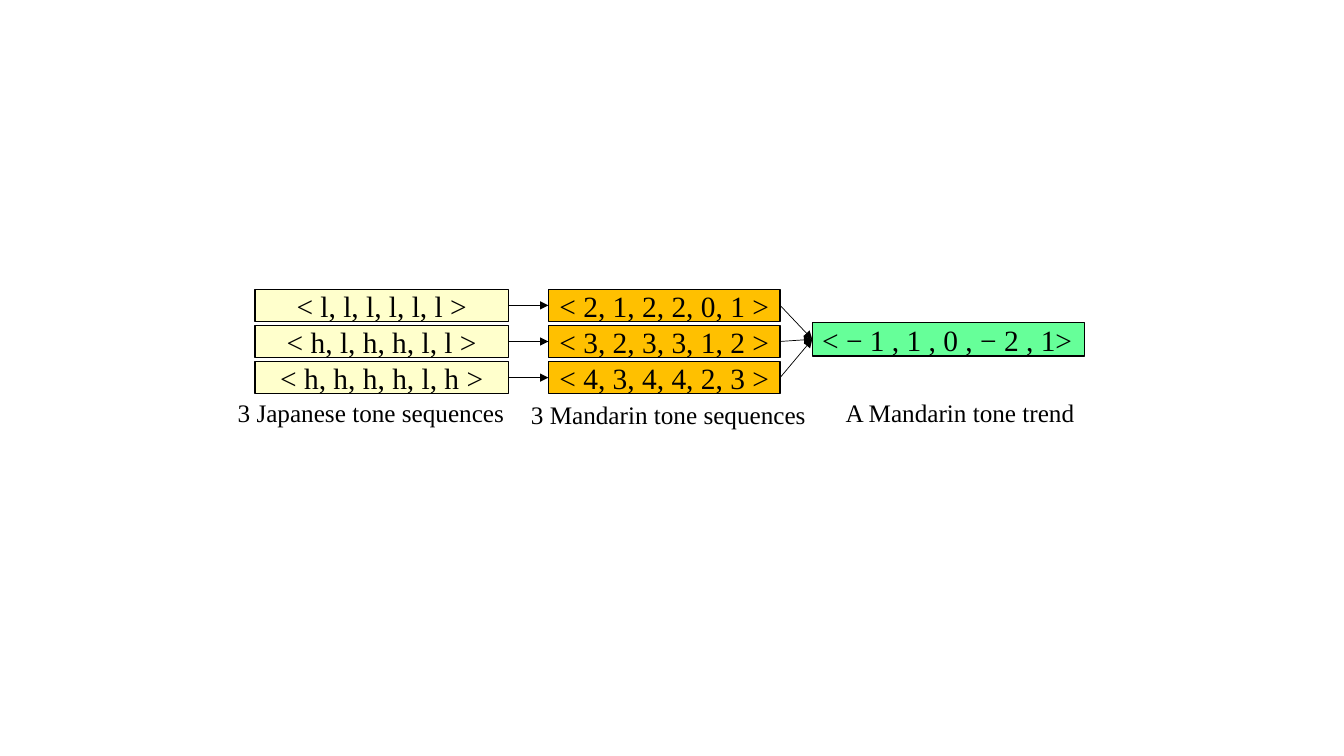
import dataclasses

import lxml.etree
import pptx
import pptx.dml.color
import pptx.enum.shapes
import pptx.enum.text
import pptx.oxml.ns
import pptx.util

Cm = pptx.util.Cm
Pt = pptx.util.Pt
Align = pptx.enum.text.PP_ALIGN


@dataclasses.dataclass(frozen=True)
class Theme:
    font: str = "Times New Roman"
    ink: str = "000000"
    cream: str = "FFFFCC"
    amber: str = "FFC000"
    green: str = "66FF99"
    body: float = 21
    label: float = 18
    edge: float = 1
    thin: float = 0.5


THEME = Theme()

# Rows shared by the Japanese and Mandarin columns, in cm
TOP, STEP, HIGH = 7.29, 0.91, 0.81
RIGHT, LEFT = 3, 1  # connection sites of a rectangle

TONES = ["< l, l, l, l, l, l >", "< h, l, h, h, l, l >", "< h, h, h, h, l, h >"]
CODES = ["< 2, 1, 2, 2, 0, 1 >", "< 3, 2, 3, 3, 1, 2 >", "< 4, 3, 4, 4, 2, 3 >"]
LABELS = [
    ("3 Japanese tone sequences", 5.74, 9.88, 7.29),
    ("3 Mandarin tone sequences", 13.13, 9.93, 7.7),
    ("A Mandarin tone trend", 21.06, 9.88, 6.38),
]


def tint(code):
    return pptx.dml.color.RGBColor.from_string(code)


def write(frame, text, size, align):
    frame.text = text
    para = frame.paragraphs[0]
    para.alignment = align
    font = para.runs[0].font
    font.name, font.size = THEME.font, Pt(size)
    font.color.rgb = tint(THEME.ink)


def add_box(slide, text, x, y, wide, high, fill, align=Align.CENTER):
    kind = pptx.enum.shapes.MSO_SHAPE.RECTANGLE
    box = slide.shapes.add_shape(kind, Cm(x), Cm(y), Cm(wide), Cm(high))
    box.shadow.inherit = False
    box.fill.solid()
    box.fill.fore_color.rgb = tint(fill)
    box.line.color.rgb = tint(THEME.ink)
    box.line.width = Pt(THEME.edge)
    box.text_frame.vertical_anchor = pptx.enum.text.MSO_ANCHOR.MIDDLE
    write(box.text_frame, text, THEME.body, align)
    return box


def add_stack(slide, texts, x, wide, fill):
    return [add_box(slide, text, x, TOP + row * STEP, wide, HIGH, fill)
            for row, text in enumerate(texts)]


def add_arrow(slide, start, end):
    kind = pptx.enum.shapes.MSO_CONNECTOR.STRAIGHT
    arrow = slide.shapes.add_connector(kind, 0, 0, 0, 0)
    arrow.begin_connect(start, RIGHT)
    arrow.end_connect(end, LEFT)
    arrow.line.color.rgb = tint(THEME.ink)
    arrow.line.width = Pt(THEME.thin)
    # Arrowhead, and no shadow
    qn = pptx.oxml.ns.qn
    props = arrow._element.spPr
    lxml.etree.SubElement(props.find(qn("a:ln")), qn("a:tailEnd"), type="triangle")
    lxml.etree.SubElement(props, qn("a:effectLst"))


def add_label(slide, text, x, y, wide):
    label = slide.shapes.add_textbox(Cm(x), Cm(y), Cm(wide), Cm(1.02))
    frame = label.text_frame
    frame.word_wrap = False
    frame.auto_size = pptx.enum.text.MSO_AUTO_SIZE.SHAPE_TO_FIT_TEXT
    write(frame, text, THEME.label, Align.LEFT)


def main():
    deck = pptx.Presentation()
    deck.slide_width, deck.slide_height = Cm(33.87), Cm(19.05)
    slide = deck.slides.add_slide(deck.slide_layouts.get_by_name("Blank"))

    # Sequences and the trend they share
    tones = add_stack(slide, TONES, 6.43, 6.38, THEME.cream)
    codes = add_stack(slide, CODES, 13.82, 5.84, THEME.amber)
    trend = add_box(slide, "< − 1 , 1 , 0 , − 2 , 1>", 20.47, 8.13, 6.86, 0.84,
                    THEME.green, Align.LEFT)

    # Arrows from column to column
    for tone, code in zip(tones, codes):
        add_arrow(slide, tone, code)
        add_arrow(slide, code, trend)

    # Captions under the columns
    for label in LABELS:
        add_label(slide, *label)

    deck.save("out.pptx")


if __name__ == "__main__":
    main()
